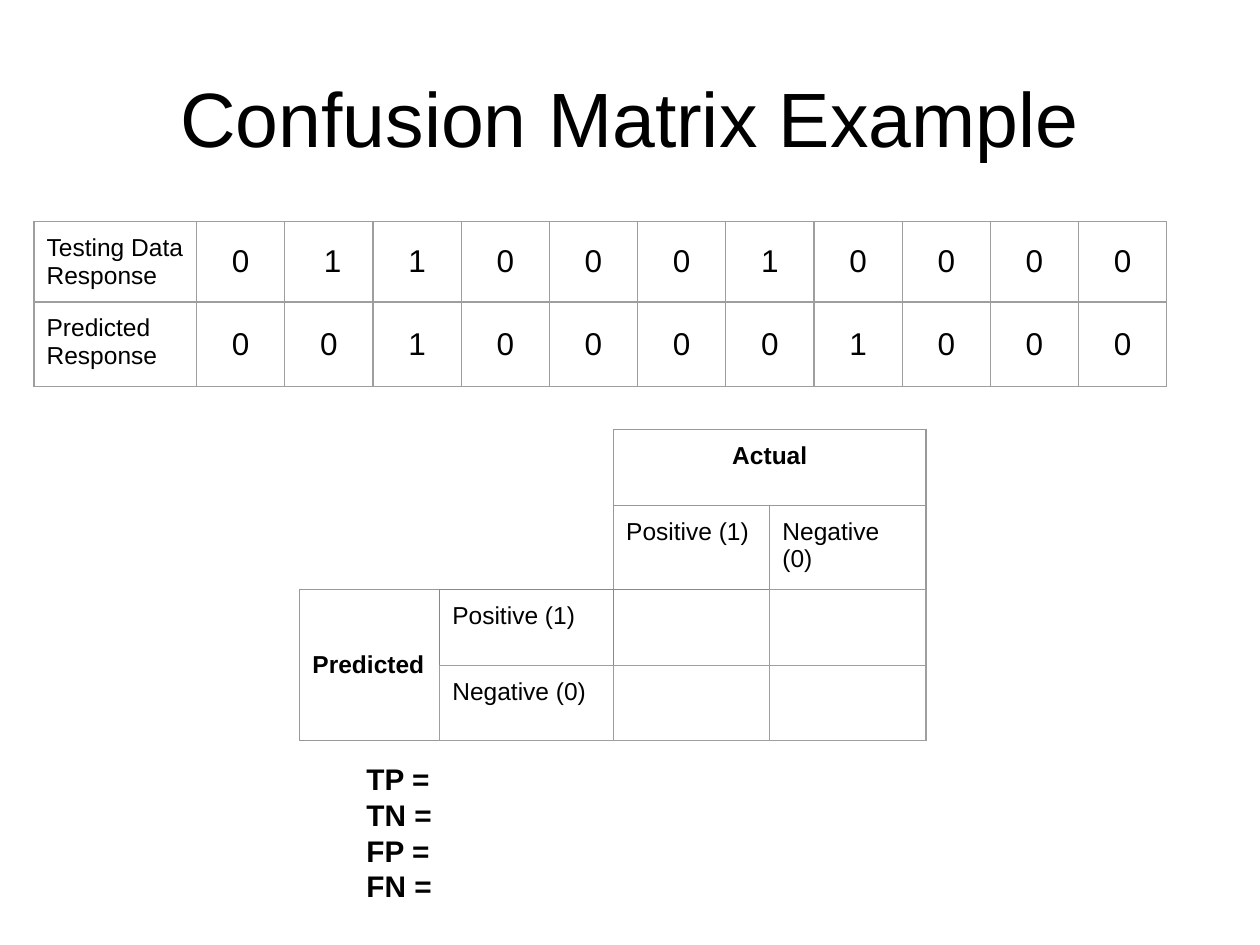
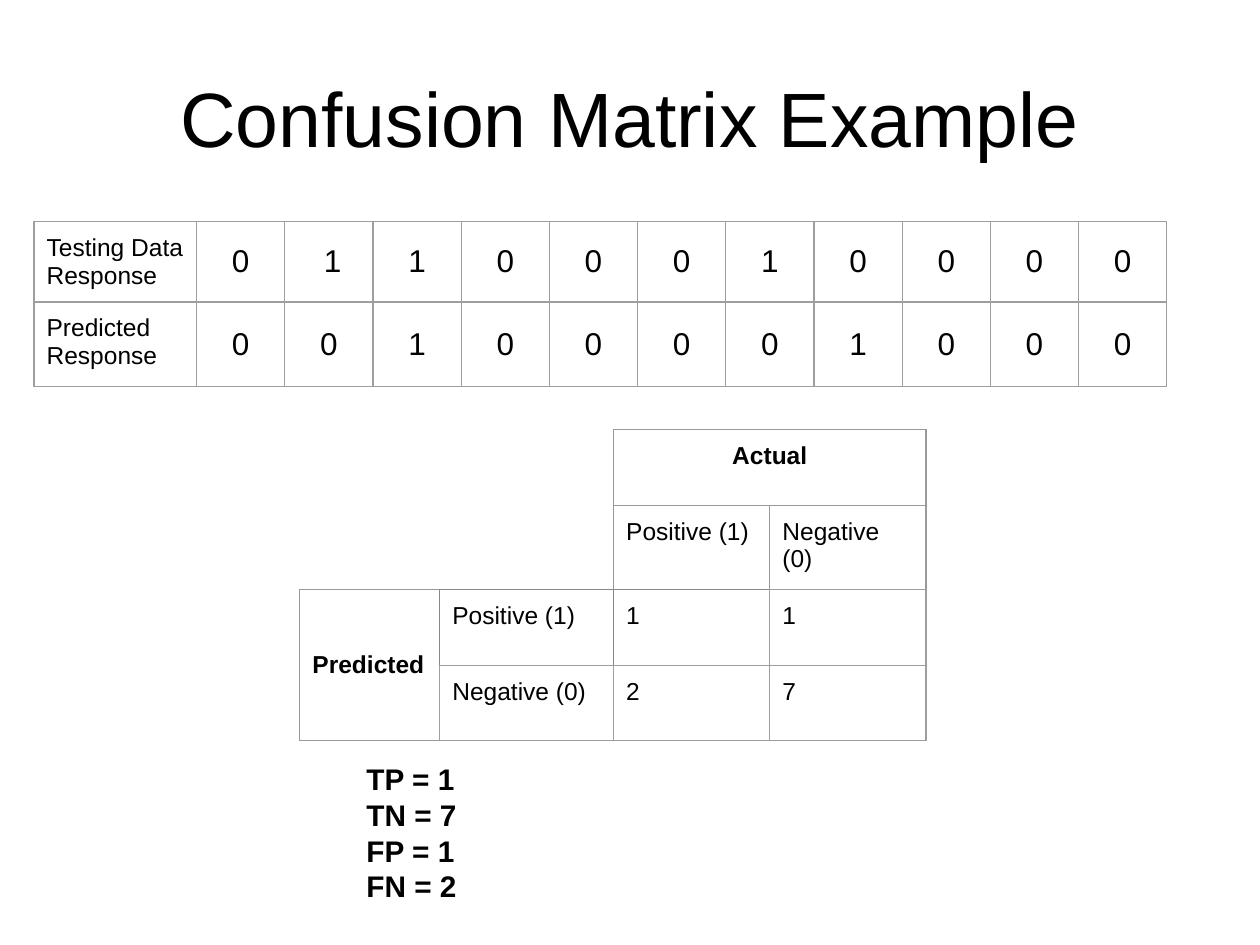
"""Build two slides that work through a confusion matrix, first blank and then solved."""
import collections
import dataclasses
import typing

import lxml.etree
import pptx
import pptx.dml.color
import pptx.enum.text
import pptx.oxml.ns
import pptx.util

WIDTH, HEIGHT = pptx.util.Inches(10), pptx.util.Inches(7.5)
GRID_COLS, GRID_ROWS = 100, 75
FONT = "Arial"
COLORS = {"text": "000000", "strip": "9E9E9E", "matrix": "999999", "label": "888888"}
ALIGN = pptx.enum.text.PP_ALIGN
ANCHOR = pptx.enum.text.MSO_ANCHOR
TITLE = "Confusion Matrix Example"
ACTUAL = (0, 1, 1, 0, 0, 0, 1, 0, 0, 0, 0)
PREDICTED = (0, 0, 1, 0, 0, 0, 0, 1, 0, 0, 0)
CLASSES = {1: "Positive (1)", 0: "Negative (0)"}
OUTCOMES = {"TP": (1, 1), "TN": (0, 0), "FP": (1, 0), "FN": (0, 1)}


@dataclasses.dataclass(frozen=True)
class Box:
    """A place on the slide in grid columns and rows."""

    left: float
    top: float
    width: float
    height: float

    def emu(self) -> tuple[int, int, int, int]:
        """Return left, top, width and height in EMU."""
        return col(self.left), row(self.top), col(self.width), row(self.height)


@dataclasses.dataclass(frozen=True)
class CellSpec:
    """The wording and look of one table cell."""

    text: str = ""
    size: float = 14
    bold: bool = False
    align: ALIGN = ALIGN.LEFT
    anchor: ANCHOR = ANCHOR.TOP
    indent: float = 1
    color: str = "matrix"
    sides: str = "LRTB"


@dataclasses.dataclass(frozen=True)
class TableSpec:
    """A table with its place, track sizes and merged ranges."""

    left: float
    top: float
    cols: tuple[float, ...]
    rows: tuple[float, ...]
    cells: list[list[CellSpec]]
    merges: tuple[tuple[int, int, int, int], ...] = ()


TITLE_BOX = Box(5, 3, 90, 12.5)
OUTCOME_BOX = Box(28.1, 59.4, 39, 13.5)


def col(n: float) -> int:
    """Return the length of n grid columns."""
    return round(WIDTH * n / GRID_COLS)


def row(n: float) -> int:
    """Return the length of n grid rows."""
    return round(HEIGHT * n / GRID_ROWS)


def style_text(tf: typing.Any, size: float, bold: bool, align: ALIGN) -> None:
    """Give every run of a text frame the shared font."""
    for p in tf.paragraphs:
        p.alignment = align
        for r in p.runs:
            r.font.name, r.font.size, r.font.bold = FONT, pptx.util.Pt(size), bold
            r.font.color.rgb = pptx.dml.color.RGBColor.from_string(COLORS["text"])


def set_borders(cell: typing.Any, spec: CellSpec) -> None:
    """Draw the listed sides of a cell and clear the others."""
    qn = pptx.oxml.ns.qn
    props = cell._tc.get_or_add_tcPr()
    for side in "LRTB":
        ln = lxml.etree.SubElement(props, qn(f"a:ln{side}"), w=str(pptx.util.Pt(0.75)))
        if side in spec.sides:
            fill = lxml.etree.SubElement(ln, qn("a:solidFill"))
            lxml.etree.SubElement(fill, qn("a:srgbClr"), val=COLORS[spec.color])
        else:
            lxml.etree.SubElement(ln, qn("a:noFill"))


def draw_cell(cell: typing.Any, spec: CellSpec) -> None:
    """Write and format one cell."""
    set_borders(cell, spec)
    cell.fill.background()
    cell.margin_left = col(spec.indent)
    cell.margin_right = col(1)
    cell.margin_top = cell.margin_bottom = row(1)
    cell.vertical_anchor = spec.anchor
    if spec.text:
        cell.text_frame.text = spec.text
        style_text(cell.text_frame, spec.size, spec.bold, spec.align)


def draw_table(s: typing.Any, spec: TableSpec) -> None:
    """Add a table without a banded style."""
    box = Box(spec.left, spec.top, sum(spec.cols), sum(spec.rows))
    table = s.shapes.add_table(len(spec.rows), len(spec.cols), *box.emu()).table
    table.first_row = table.horz_banding = False
    for track, size in zip(table.columns, spec.cols):
        track.width = col(size)
    for track, size in zip(table.rows, spec.rows):
        track.height = row(size)
    for i, line in enumerate(spec.cells):
        for j, cell in enumerate(line):
            draw_cell(table.cell(i, j), cell)
    for top, left, bottom, right in spec.merges:
        table.cell(top, left).merge(table.cell(bottom, right))


def response_table() -> TableSpec:
    """Describe the strip of actual and predicted responses."""
    cells = []
    for label, values in (("Testing Data Response", ACTUAL), ("Predicted Response", PREDICTED)):
        digits = [
            CellSpec(str(v), 18, align=ALIGN.CENTER, anchor=ANCHOR.MIDDLE, color="strip")
            for v in values
        ]
        cells.append([CellSpec(label, color="strip"), *digits])
    cells[0][2] = dataclasses.replace(cells[0][2], align=ALIGN.LEFT, indent=3.1)
    return TableSpec(2.7, 17.6, (12.9, *[7] * len(ACTUAL)), (6.2, 6.7), cells)


def matrix_table(counts: typing.Mapping[tuple[int, int], int], solved: bool) -> TableSpec:
    """Describe the confusion matrix, with its counts when solved."""
    actual = CellSpec("Actual", bold=True, align=ALIGN.CENTER)
    predicted = CellSpec("Predicted", bold=True, anchor=ANCHOR.MIDDLE)
    cells = [
        [CellSpec(sides=""), CellSpec(sides="R"), actual, CellSpec()],
        [CellSpec(sides="B"), CellSpec(sides="RB"), *map(CellSpec, CLASSES.values())],
    ]
    for guess, label in CLASSES.items():
        color = "label" if guess else "strip"
        values = [
            CellSpec(str(counts[guess, truth]) if solved else "", color=color if truth else "strip")
            for truth in CLASSES
        ]
        cells.append([predicted if guess else CellSpec(), CellSpec(label, color=color), *values])
    return TableSpec(
        23.8, 34.1, (11.1, 13.8, 12.4, 12.4), (6, 6.7, 6, 6), cells, ((0, 2, 0, 3), (2, 0, 3, 0))
    )


def draw_title(s: typing.Any) -> None:
    """Place and format the slide title."""
    sp = s.shapes.title
    sp.left, sp.top, sp.width, sp.height = TITLE_BOX.emu()
    tf = sp.text_frame
    tf.text = TITLE
    tf.vertical_anchor = ANCHOR.MIDDLE
    style_text(tf, 44, False, ALIGN.CENTER)


def draw_outcomes(s: typing.Any, counts: typing.Mapping[tuple[int, int], int], solved: bool) -> None:
    """List the four outcomes, with their counts when solved."""
    tf = s.shapes.add_textbox(*OUTCOME_BOX.emu()).text_frame
    tf.word_wrap = True
    tf.auto_size = pptx.enum.text.MSO_AUTO_SIZE.SHAPE_TO_FIT_TEXT
    tf.margin_left = tf.margin_right = col(1)
    tf.margin_top = tf.margin_bottom = row(1)
    tf.text = "\n".join(
        f"{name} = {counts[pair]}" if solved else f"{name} =" for name, pair in OUTCOMES.items()
    )
    style_text(tf, 17, True, ALIGN.LEFT)


def main() -> None:
    """Build the blank and the solved slide."""
    prs = pptx.Presentation()
    prs.slide_width, prs.slide_height = WIDTH, HEIGHT
    counts = collections.Counter(zip(PREDICTED, ACTUAL))
    for solved in (False, True):
        s = prs.slides.add_slide(prs.slide_layouts.get_by_name("Title Only"))
        draw_title(s)
        draw_table(s, response_table())
        draw_table(s, matrix_table(counts, solved))
        draw_outcomes(s, counts, solved)
    prs.save("out.pptx")


if __name__ == "__main__":
    main()
